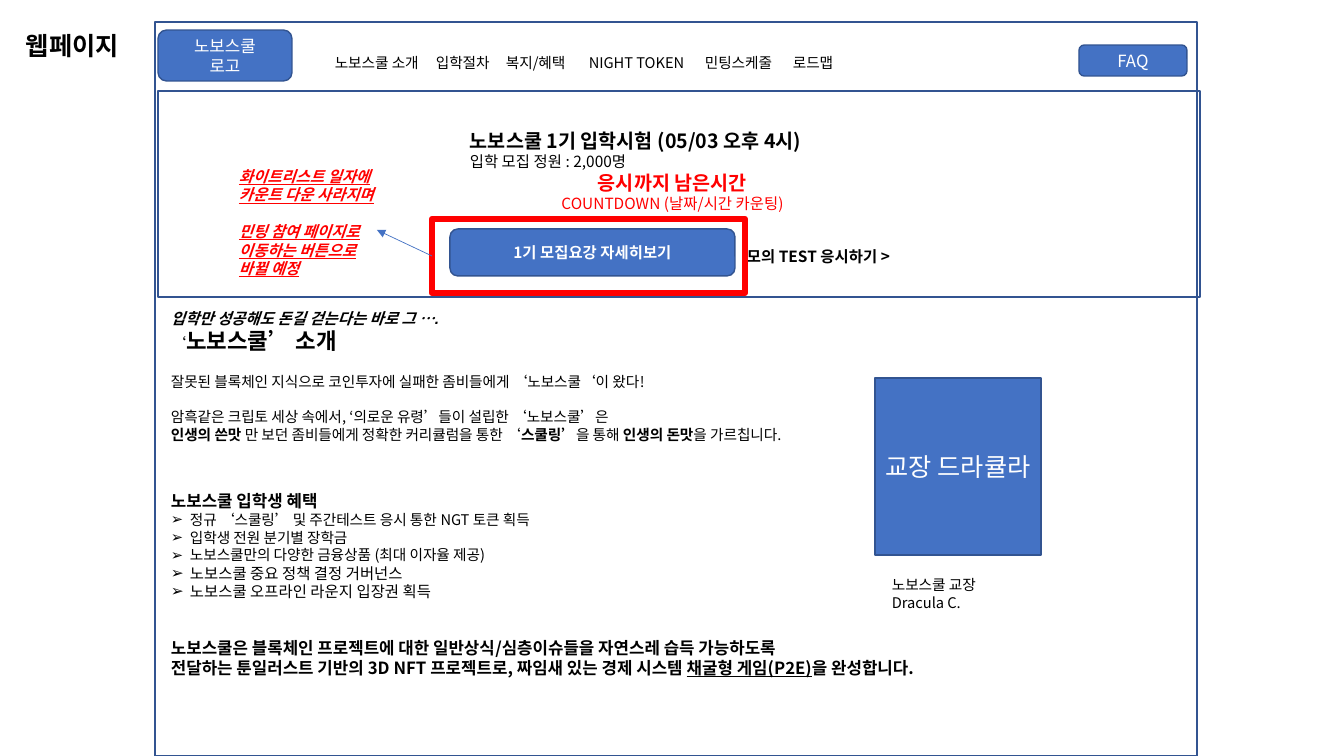
from lxml.etree import SubElement
from pptx import Presentation
from pptx.dml.color import RGBColor
from pptx.enum.shapes import MSO_CONNECTOR, MSO_SHAPE
from pptx.enum.text import MSO_ANCHOR, PP_ALIGN
from pptx.oxml.ns import qn
from pptx.util import Emu, Pt

SCALE = 12192000 / 1344
FONT = "Noto Sans CJK KR"
BLUE, EDGE, RED, BLACK, WHITE = "4472C4", "325491", "FF0000", "000000", "FFFFFF"
RECT, ROUND = MSO_SHAPE.RECTANGLE, MSO_SHAPE.ROUNDED_RECTANGLE


def px(num):
    """Turn pixels into EMU."""
    return Emu(round(num * SCALE))


def color(code):
    """Turn a hex string into a colour."""
    return RGBColor.from_string(code)


def add_run(para, text, size, style="", hue=BLACK, face=FONT):
    """Add a run; style holds any of the letters b, i and u."""
    run = para.add_run()
    run.text = text
    font = run.font
    font.size, font.name = Pt(size), face
    font.bold, font.italic, font.underline = [key in style for key in "biu"]
    font.color.rgb = color(hue)
    SubElement(font._element, qn("a:ea")).set("typeface", FONT)


def add_para(frame, gap=0, align=PP_ALIGN.LEFT):
    """Return the next paragraph, with a gap in points above it."""
    first = frame.paragraphs[0]
    para = frame.add_paragraph() if first.runs else first
    para.space_before, para.alignment = Pt(gap), align
    return para


def add_line(frame, text, size, style="", hue=BLACK, gap=0, align=PP_ALIGN.LEFT):
    """Add a paragraph of one run."""
    para = add_para(frame, gap, align)
    add_run(para, text, size, style, hue)
    return para


def add_item(frame, text, size):
    """Add a paragraph with an arrow bullet."""
    props = add_line(frame, text, size)._p.get_or_add_pPr()
    props.set("marL", str(px(19)))
    props.set("indent", str(px(-19)))
    SubElement(props, qn("a:buFont")).set("typeface", "Arial")
    SubElement(props, qn("a:buChar")).set("char", "➢")


def add_text(slide, *box):
    """Add a wrapping text box and return its frame."""
    frame = slide.shapes.add_textbox(*map(px, box)).text_frame
    frame.word_wrap = True
    return frame


def add_box(slide, kind, box, fill=None, edge=EDGE, width=1):
    """Add a preset shape, hollow unless a fill is given."""
    shape = slide.shapes.add_shape(kind, *map(px, box))
    shape.shadow.inherit = False
    if fill:
        shape.fill.solid()
        shape.fill.fore_color.rgb = color(fill)
    else:
        shape.fill.background()
    shape.line.color.rgb = color(edge)
    shape.line.width = Pt(width)
    return shape


def add_label(slide, kind, box, lines, size, style=""):
    """Add a blue shape with centred white lines."""
    frame = add_box(slide, kind, box, BLUE).text_frame
    frame.margin_left = frame.margin_right = 0
    frame.vertical_anchor = MSO_ANCHOR.MIDDLE
    for text in lines:
        add_line(frame, text, size, style, WHITE, align=PP_ALIGN.CENTER)


def add_arrow(slide, *ends):
    """Add a thin blue arrow."""
    arrow = slide.shapes.add_connector(MSO_CONNECTOR.STRAIGHT, *map(px, ends))
    arrow.line.color.rgb = color(BLUE)
    arrow.line.width = Pt(0.5)
    SubElement(arrow.line._get_or_add_ln(), qn("a:tailEnd")).set("type", "triangle")
    SubElement(arrow._element.spPr, qn("a:effectLst"))


def add_menu(slide):
    """Add the page title and the top menu."""
    add_line(add_text(slide, 16, 25, 160, 40), "웹페이지", 18, "b")
    add_label(slide, ROUND, (158, 30, 134, 51), ["노보스쿨", "로고"], 12)
    add_label(slide, ROUND, (1079, 45, 108, 31), ["FAQ"], 12)
    menu = {335: "노보스쿨 소개", 436: "입학절차", 506: "복지/혜택",
            589: "NIGHT TOKEN", 705: "민팅스케줄", 793: "로드맵"}
    for left, text in menu.items():
        add_line(add_text(slide, left - 10, 49, 130, 29), text, 10.5)


def add_exam(slide):
    """Add the exam notice, its buttons and the red remark."""
    frame = add_text(slide, 460, 124, 425, 95)
    mid = PP_ALIGN.CENTER
    add_line(frame, "노보스쿨 1기 입학시험 (05/03 오후 4시)", 14, "b")
    add_line(frame, "입학 모집 정원 : 2,000명", 11)
    add_line(frame, "응시까지 남은시간", 14, "b", RED, align=mid)
    add_line(frame, "COUNTDOWN (날짜/시간 카운팅)", 11, "", RED, align=mid)
    add_box(slide, RECT, (158, 91, 1042, 206))
    add_label(slide, ROUND, (450, 229, 285, 47), ["1기 모집요강 자세히보기"], 11, "b")
    add_line(add_text(slide, 737, 242, 198, 29), "모의 TEST 응시하기 >", 11, "b")
    add_box(slide, RECT, (432, 219, 313, 74), edge=RED, width=4.5)
    add_arrow(slide, 432, 256, 377, 230)
    note = add_text(slide, 229, 162, 200, 122)
    for text, gap in (("화이트리스트 일자에", 0), ("카운트 다운 사라지며", 0),
                      ("민팅 참여 페이지로", 13), ("이동하는 버튼으로", 0),
                      ("바뀔 예정", 0)):
        add_line(note, text, 11, "biu", RED, gap)


def add_intro(slide):
    """Add the school introduction."""
    head = add_text(slide, 161, 304, 520, 60)
    add_run(add_para(head), "입학만 성공해도 돈길 걷는다는 바로 그 ….", 11, "bi", face="Arial")
    para = add_para(head)
    add_run(para, "‘", 11, face="Arial")
    add_run(para, "노보스쿨’ 소개", 16, "b")
    body = add_text(slide, 161, 368, 962, 320)
    add_line(body, "잘못된 블록체인 지식으로 코인투자에 실패한 좀비들에게 ‘노보스쿨‘이 왔다!", 10.5)
    add_line(body, "암흑같은 크립토 세상 속에서, ‘의로운 유령’들이 설립한 ‘노보스쿨’은", 10.5, gap=12.5)
    para = add_para(body)
    for text, style in (("인생의 쓴맛 ", "b"), ("만 보던 좀비들에게 정확한 커리큘럼을 통한 ‘", ""),
                        ("스쿨링’", "b"), ("을 통해 ", ""),
                        ("인생의 돈맛", "b"), ("을 가르칩니다.", "")):
        add_run(para, text, 10.5, style)
    add_line(body, "노보스쿨 입학생 혜택", 12, "b", gap=34)
    for text, size in (("정규 ‘스쿨링’ 및 주간테스트 응시 통한 NGT 토큰 획득", 10.5),
                       ("입학생 전원 분기별 장학금", 10.5),
                       ("노보스쿨만의 다양한 금융상품 (최대 이자율 제공)", 10.5),
                       ("노보스쿨 중요 정책 결정 거버넌스", 11),
                       ("노보스쿨 오프라인 라운지 입장권 획득", 11)):
        add_item(body, text, size)
    add_line(body, "노보스쿨은 블록체인 프로젝트에 대한 일반상식/심층이슈들을 자연스레 습득 가능하도록",
             12, "b", gap=26)
    para = add_para(body)
    add_run(para, "전달하는 툰일러스트 기반의 3D NFT 프로젝트로, 짜임새 있는 경제 시스템 ", 12, "b")
    add_run(para, "채굴형 게임(P2E)", 12, "bu")
    add_run(para, "을 완성합니다.", 12, "b")


def add_head(slide):
    """Add the headmaster's box and caption."""
    add_label(slide, RECT, (875, 378, 166, 177), ["교장 드라큘라"], 18)
    frame = add_text(slide, 882, 571, 159, 47)
    for text in ("노보스쿨 교장", "Dracula C."):
        add_line(frame, text, 10.5)


def main():
    """Build the slide and save it."""
    deck = Presentation()
    deck.slide_width, deck.slide_height = px(1344), px(756)
    slide = deck.slides.add_slide(deck.slide_layouts[6])
    add_box(slide, RECT, (155, 22, 1042, 734))
    add_menu(slide)
    add_exam(slide)
    add_intro(slide)
    add_head(slide)
    deck.save("out.pptx")


if __name__ == "__main__":
    main()
